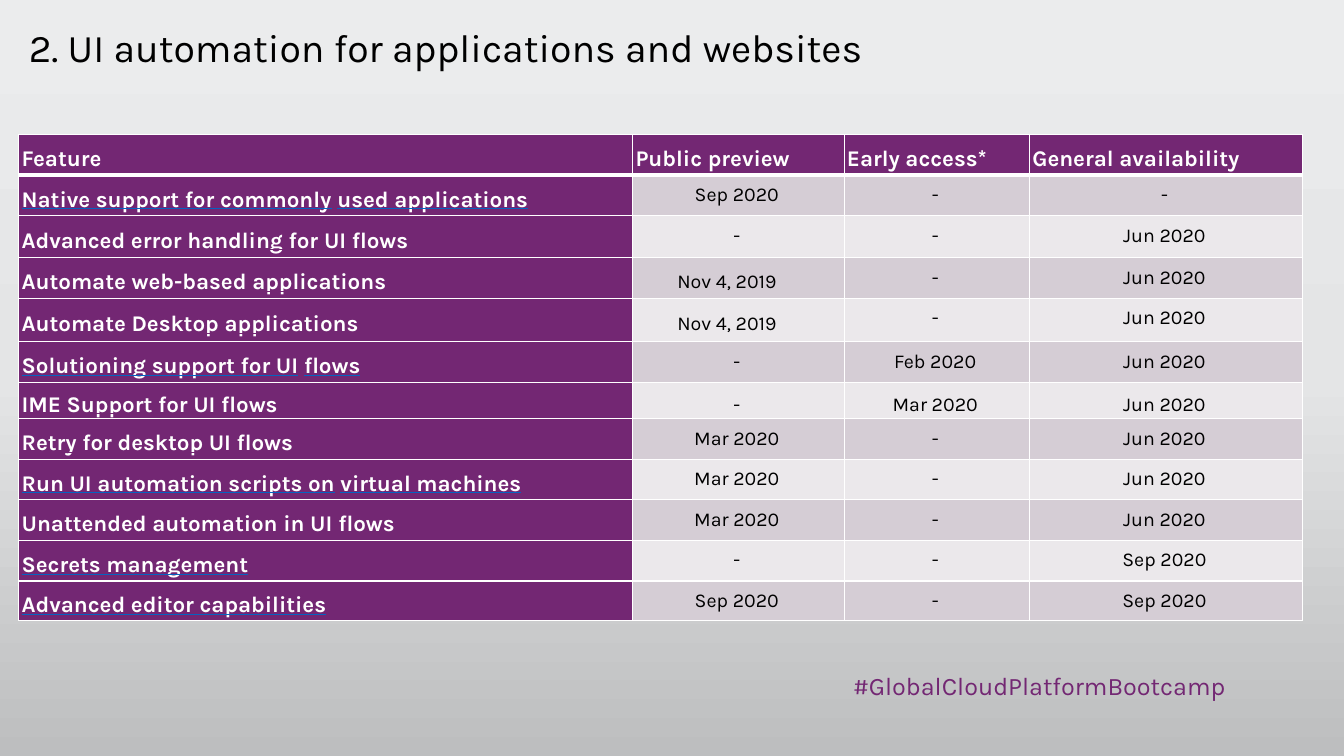
from copy import deepcopy
from dataclasses import dataclass

from lxml import etree
from pptx import Presentation
from pptx.dml.color import RGBColor
from pptx.enum import text
from pptx.oxml import ns
from pptx.util import Pt


@dataclass(frozen=True)
class Theme:
    font: str = "Karla"
    purple: str = "732773"
    white: str = "FFFFFF"
    black: str = "000000"
    link: str = "0563C1"
    bands: tuple = ("D5CDD5", "EBE8EB")
    backdrop: tuple = ((0, "EBECED"), (0.5, "E4E5E6"), (1, "BDBEBF"))
    title_size: int = 28
    hashtag_size: int = 18
    label_size: int = 16
    date_size: int = 14


HEADINGS = ("Feature", "Public preview", "Early access*", "General availability")
COLUMN_WIDTHS = (438.5, 151, 132.5, 195)
ROW_HEIGHTS = (29, 29, 30, 29, 31, 29, 26, 29, 29, 29, 29, 28.5)
# Feature (a bar separates underlined parts), blue underline, three dates
FEATURES = (
    ("Native support for commonly|used applications", True, "Sep 2020", "-", "-"),
    ("Advanced error handling for|UI flows", False, "-", "-", "Jun 2020"),
    ("Automate web-based|applications", False, "Nov 4, 2019", "-", "Jun 2020"),
    ("Automate Desktop|applications", False, "Nov 4, 2019", "-", "Jun 2020"),
    ("Solutioning support for UI|flows", True, "-", "Feb 2020", "Jun 2020"),
    ("IME Support for UI flows", False, "-", "Mar 2020", "Jun 2020"),
    ("Retry for desktop UI flows", False, "Mar 2020", "-", "Jun 2020"),
    ("Run UI automation scripts on|virtual machines", True, "Mar 2020", "-", "Jun 2020"),
    ("Unattended automation in UI|flows", False, "Mar 2020", "-", "Jun 2020"),
    ("Secrets management", True, "-", "-", "Sep 2020"),
    ("Advanced editor capabilities", True, "Sep 2020", "-", "Sep 2020"),
)
CENTERED_ROW = 6


class SlideBuilder:
    def __init__(self, slide, theme):
        self.slide = slide
        self.theme = theme

    def background(self):
        fill = self.slide.background.fill
        fill.gradient()
        fill.gradient_angle = 270
        first, last = fill.gradient_stops
        stop_list = self.slide.background._cSld.find(".//" + ns.qn("a:gsLst"))
        stop_list.insert(1, deepcopy(stop_list[0]))
        for stop, (position, color) in zip(fill.gradient_stops, self.theme.backdrop):
            stop.position = position
            stop.color.rgb = RGBColor.from_string(color)

    def style(self, paragraph, size, color, bold=False):
        font = paragraph.font
        font.name = self.theme.font
        font.size = Pt(size)
        font.bold = bold
        font.color.rgb = RGBColor.from_string(color)

    def text_box(self, wording, left, top, width, height, size, color,
                 align=text.PP_ALIGN.LEFT):
        shape = self.slide.shapes.add_textbox(Pt(left), Pt(top), Pt(width), Pt(height))
        shape.text_frame.word_wrap = True
        paragraph = shape.text_frame.paragraphs[0]
        paragraph.text = wording
        paragraph.alignment = align
        self.style(paragraph, size, color)

    def table(self, left, top, column_widths, row_heights):
        frame = self.slide.shapes.add_table(
            len(row_heights), len(column_widths), Pt(left), Pt(top),
            Pt(sum(column_widths)), Pt(sum(row_heights)))
        table = frame.table
        table.first_row = table.horz_banding = False
        for column, width in zip(table.columns, column_widths):
            column.width = Pt(width)
        for row, height in zip(table.rows, row_heights):
            row.height = Pt(height)
        return table

    def cell(self, cell, fill, top_line=1, bottom_line=1, middle=True, right=1):
        """Set borders, fill and insets; return the cell's paragraph."""
        properties = cell._tc.get_or_add_tcPr()
        for side, width in zip("LRTB", (1, 1, top_line, bottom_line)):
            line = etree.SubElement(properties, ns.qn(f"a:ln{side}"), w=str(Pt(width)))
            solid = etree.SubElement(line, ns.qn("a:solidFill"))
            etree.SubElement(solid, ns.qn("a:srgbClr"), val=self.theme.white)
        cell.fill.solid()
        cell.fill.fore_color.rgb = RGBColor.from_string(fill)
        cell.margin_left, cell.margin_right = Pt(2), Pt(right)
        cell.margin_top, cell.margin_bottom = Pt(5), Pt(0)
        anchor = text.MSO_ANCHOR
        cell.vertical_anchor = anchor.MIDDLE if middle else anchor.TOP
        paragraph = cell.text_frame.paragraphs[0]
        paragraph.line_spacing = 1.07
        return paragraph

    def label(self, paragraph, wording):
        paragraph.add_run().text = wording
        self.style(paragraph, self.theme.label_size, self.theme.white, bold=True)

    def underlined_label(self, paragraph, parts, underline_color):
        for part in parts:
            run = paragraph.add_run()
            run.text = part
            run.font.underline = True
            underline = etree.SubElement(run.font._element, ns.qn("a:uFill"))
            solid = etree.SubElement(underline, ns.qn("a:solidFill"))
            etree.SubElement(solid, ns.qn("a:srgbClr"), val=underline_color)
            paragraph.add_run().text = " "
        self.style(paragraph, self.theme.label_size, self.theme.white, bold=True)

    def date(self, paragraph, wording):
        paragraph.add_run().text = wording + " "
        paragraph.alignment = text.PP_ALIGN.CENTER
        self.style(paragraph, self.theme.date_size, self.theme.black)


def add_feature_table(builder):
    theme = builder.theme
    table = builder.table(13.5, 96, COLUMN_WIDTHS, ROW_HEIGHTS)
    for column, heading in enumerate(HEADINGS):
        paragraph = builder.cell(table.cell(0, column), theme.purple, bottom_line=3)
        builder.label(paragraph, heading)
    for row, (feature, is_blue, *dates) in enumerate(FEATURES, start=1):
        top_line = 3 if row == 1 else 1
        paragraph = builder.cell(table.cell(row, 0), theme.purple, top_line)
        builder.underlined_label(paragraph, feature.split("|"),
                                 theme.link if is_blue else theme.purple)
        for column, date in enumerate(dates, start=1):
            has_day = "," in date
            paragraph = builder.cell(
                table.cell(row, column), theme.bands[(row - 1) % 2], top_line,
                middle=has_day or row == CENTERED_ROW, right=15 if has_day else 1)
            builder.date(paragraph, date)


def main():
    presentation = Presentation()
    presentation.slide_width, presentation.slide_height = Pt(960), Pt(540)
    theme = Theme()
    slide = presentation.slides.add_slide(presentation.slide_layouts[6])
    builder = SlideBuilder(slide, theme)
    builder.background()
    builder.text_box("#GlobalCloudPlatformBootcamp", 558.5, 475, 324, 29,
                     theme.hashtag_size, theme.purple, text.PP_ALIGN.RIGHT)
    builder.text_box("2. UI automation for applications and websites",
                     13.5, 13, 946.5, 41, theme.title_size, theme.black)
    add_feature_table(builder)
    presentation.save("out.pptx")


if __name__ == "__main__":
    main()
